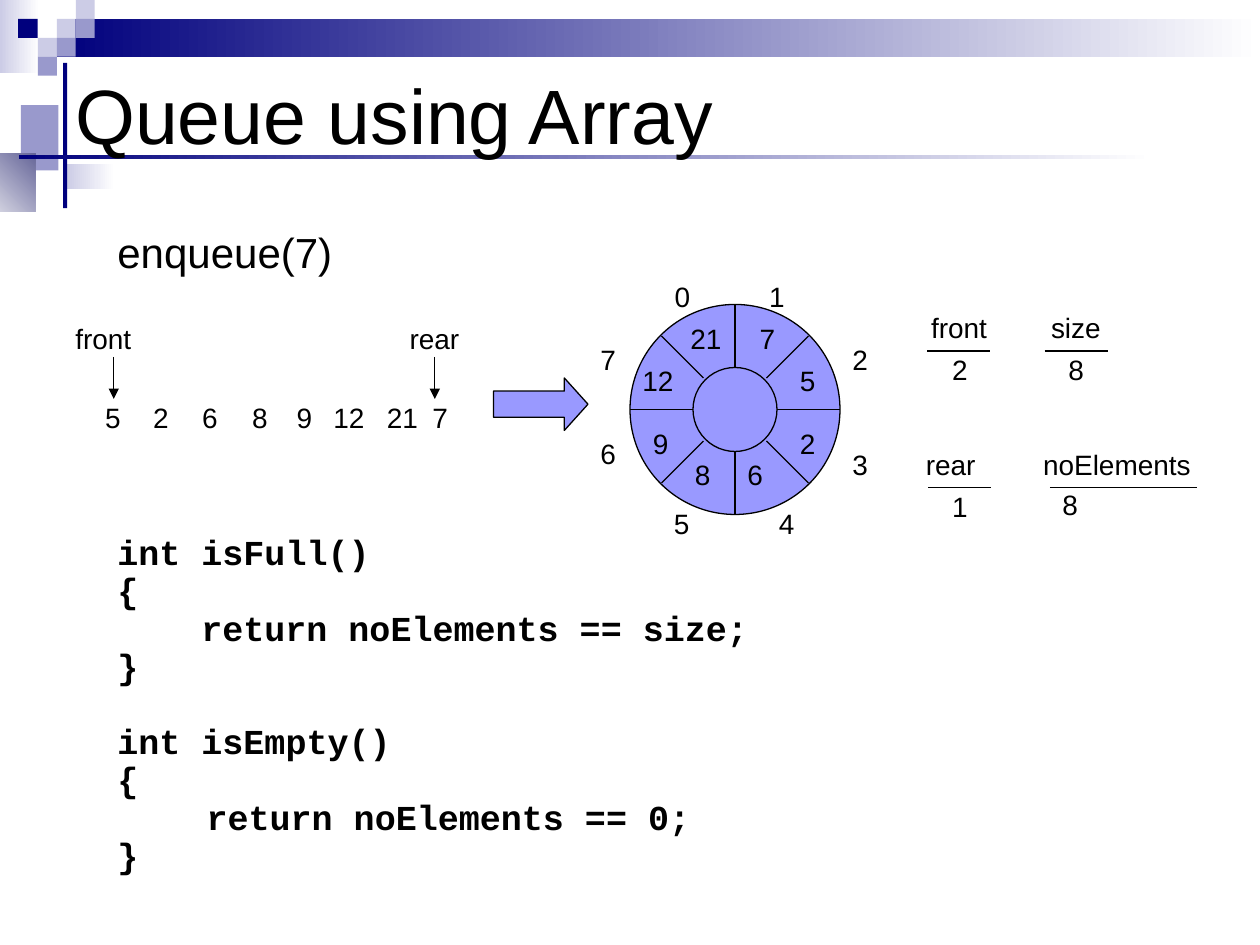
from itertools import product

from lxml import etree
from pptx import Presentation
from pptx import util as u
from pptx.dml.color import RGBColor
from pptx.enum import shapes, text
from pptx.oxml.ns import qn

Pt = u.Pt
SHAPE = shapes.MSO_SHAPE
COLORS = {
    "ink": "000000", "white": "FFFFFF", "navy": "00007D", "lilac": "CCCCE6",
    "violet": "9999CC", "slate": "666699", "cell": "9999FF",
}

# left, top, width, height, colour or (start, end, angle)
DECOR = [
    (0, 0, 22.5, 42, ("lilac", "white", 0)),
    (32.5, 10.8, 687.5, 21.6, ("navy", "white", 0)),
    (32.5, 10.8, 10.8, 10.8, "lilac"),
    (43.3, 0, 10.8, 10.8, "lilac"),
    (43.3, 10.8, 10.8, 10.8, "violet"),
    (21.7, 21.6, 10.8, 10.8, "lilac"),
    (10.3, 10.8, 11.2, 10.8, "navy"),
    (32.5, 21.6, 10.8, 10.8, "violet"),
    (21.7, 32.4, 10.8, 10.8, "violet"),
    (12, 60, 21.5, 37.4, "violet"),
    (37.5, 93.5, 28.5, 14.5, ("lilac", "white", 0)),
    (-24, 87.5, 44.2, 33.5, ("white", "slate", 45)),
    (36, 36, 2.4, 83, "navy"),
    (10.8, 88.5, 648, 2.3, ("navy", "white", 0)),
]

QUEUE = [("5", 53), ("2", 80.5), ("6", 108.5), ("8", 137), ("9", 162.5),
         ("12", 183.5), ("21", 214), ("7", 240)]
RING_INDEXES = [("0", 378.5, 156), ("1", 432.5, 156), ("2", 480, 192),
                ("3", 480, 252), ("4", 438, 286), ("5", 378, 286),
                ("6", 336, 246), ("7", 336, 192)]
RING_VALUES = [("21", 387.5, 180), ("7", 427, 180), ("5", 450, 204),
               ("2", 450, 240), ("6", 420, 258), ("8", 390, 258),
               ("9", 366, 240), ("12", 360, 204)]
# name, left, top, width, value left, value top, line start, line end
COUNTERS = [
    ("front", 525, 174, 47, "2", 537, 198, 530, 566),
    ("size", 593.5, 174, 43, "8", 603.5, 198, 597, 633),
    ("rear", 522, 252, 43, "1", 537, 276, 530.5, 566.5),
    ("noElements", 589, 252, 101, "8", 600, 275, 600, 684),
]

# text, left indent, space before
CODE = [
    ("int isFull()", 0, 5), ("{", 0, 5),
    ("return noElements == size;", 48, 5), ("}", 0, 5),
    ("int isEmpty()", 0, 25.8), ("{", 0, 5),
    ("return noElements == 0;", 51, 5), ("}", 0, 5),
]


def rgb(name):
    return RGBColor.from_string(COLORS[name])


def add_figure(s, kind, left, top, width, height, fill, outlined=False):
    sp = s.shapes.add_shape(kind, Pt(left), Pt(top), Pt(width), Pt(height))
    sp.shadow.inherit = False
    if isinstance(fill, tuple):
        *ends, angle = fill
        sp.fill.gradient()
        sp.fill.gradient_angle = angle
        for stop, name in zip(sp.fill.gradient_stops, ends):
            stop.color.rgb = rgb(name)
    else:
        sp.fill.solid()
        sp.fill.fore_color.rgb = rgb(fill)
    if outlined:
        sp.line.color.rgb = rgb("ink")
        sp.line.width = Pt(0.75)
    else:
        sp.line.fill.background()
    return sp


def add_line(s, x1, y1, x2, y2, arrow=False):
    line = s.shapes.add_connector(shapes.MSO_CONNECTOR.STRAIGHT,
                                  Pt(x1), Pt(y1), Pt(x2), Pt(y2))
    line.line.color.rgb = rgb("ink")
    line.line.width = Pt(0.75)
    props = line._element.spPr
    if arrow:
        etree.SubElement(props.find(qn("a:ln")), qn("a:tailEnd"), type="triangle")
    etree.SubElement(props, qn("a:effectLst"))


def add_run(p, words, size, name="Arial", bold=False):
    r = p.add_run()
    r.text = words
    for key, value in {"size": Pt(size), "name": name, "bold": bold}.items():
        setattr(r.font, key, value)
    r.font.color.rgb = rgb("ink")


def add_box(s, left, top, width, height, wrap=True):
    tf = s.shapes.add_textbox(Pt(left), Pt(top), Pt(width), Pt(height)).text_frame
    tf.word_wrap = wrap
    return tf


def add_label(s, words, left, top, width=None, size=16, height=26.5):
    """Add one unwrapped line; the default width suits a number."""
    width = width or 14.4 + 8.9 * len(words)
    tf = add_box(s, left, top, width, height, wrap=False)
    add_run(tf.paragraphs[0], words, size)


def add_title(s):
    tf = add_box(s, 36, 28.8, 648, 72)
    tf.vertical_anchor = text.MSO_ANCHOR.MIDDLE
    add_run(tf.paragraphs[0], "Queue using Array", 44)


def add_code(s):
    tf = add_box(s, 60, 306, 432, 204)
    for i, (words, indent, before) in enumerate(CODE):
        p = tf.add_paragraph() if i else tf.paragraphs[0]
        for key, value in {"line_spacing": 0.7, "space_before": Pt(before)}.items():
            setattr(p, key, value)
        p._p.get_or_add_pPr().set("marL", str(Pt(indent)))
        add_run(p, words, 20, "Courier New", True)


def add_queue(s):
    for value, left in QUEUE:
        add_label(s, value, left, 225.5)
    for name, left, width, x in [("front", 36, 47, 65), ("rear", 227, 43, 248.5)]:
        add_label(s, name, left, 180, width)
        add_line(s, x, 204, x, 228, arrow=True)


def add_ring(s, cx=420, cy=234, outer=60, inner=24):
    for radius in (outer, inner):
        add_figure(s, SHAPE.OVAL, cx - radius, cy - radius,
                   2 * radius, 2 * radius, "cell", True)
    for dx, dy in product((-1, 0, 1), repeat=2):
        if dx or dy:
            near, far = (18, 42) if dx and dy else (inner, outer)
            add_line(s, cx + dx * near, cy + dy * near, cx + dx * far, cy + dy * far)
    for label in RING_INDEXES + RING_VALUES:
        add_label(s, *label)


def add_counter(s, name, left, top, width, value, value_left, value_top, x1, x2):
    add_label(s, name, left, top, width)
    add_label(s, value, value_left, value_top)
    add_line(s, x1, top + 26.5, x2, top + 26.5)


def main():
    prs = Presentation()
    prs.slide_width, prs.slide_height = Pt(720), Pt(540)
    s = prs.slides.add_slide(prs.slide_layouts[6])
    for block in DECOR:
        add_figure(s, SHAPE.RECTANGLE, *block)
    add_title(s)
    add_code(s)
    add_label(s, "enqueue(7)", 60, 126, 137.5, 24, 36)
    add_queue(s)
    arrow = add_figure(s, SHAPE.RIGHT_ARROW, 282, 216, 54, 30, "cell", True)
    arrow.adjustments[1] = 0.45
    add_ring(s)
    for counter in COUNTERS:
        add_counter(s, *counter)
    prs.save("out.pptx")


if __name__ == "__main__":
    main()
